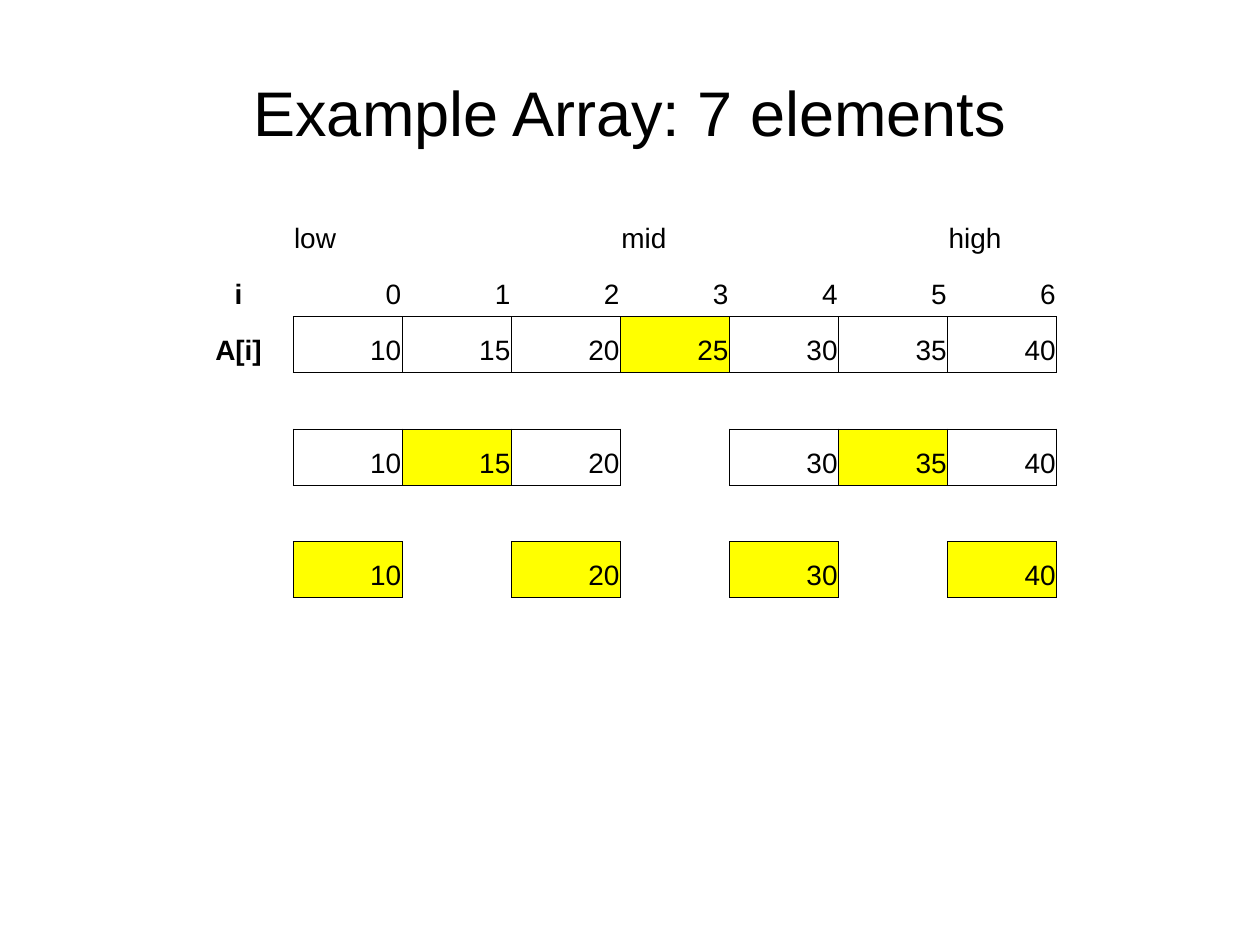
from lxml.etree import SubElement
from pptx import Presentation
from pptx.dml.color import RGBColor
from pptx.enum.text import MSO_ANCHOR as Anchor, PP_ALIGN as Align
from pptx.oxml.ns import qn
from pptx.util import Emu, Pt

PX = 914400 // 126
BLACK = RGBColor(0x00, 0x00, 0x00)
YELLOW = RGBColor(0xFF, 0xFF, 0x00)
EDGES = {"L": (0, -1), "R": (0, 1), "T": (-1, 0), "B": (1, 0)}


class ArraySlide:
    """Holds the style and the current slide, and draws its elements."""

    font = "Arial"
    line_width = Pt(0.25)

    def __init__(self, slide):
        self.slide = slide

    def add_text(self, frame, text, size, align, bold=False):
        paragraph = frame.paragraphs[0]
        paragraph.alignment = align
        run = paragraph.add_run()
        run.text = text
        run.font.name, run.font.size, run.font.bold = self.font, Pt(size), bold
        run.font.color.rgb = BLACK

    def title(self, text, *box):
        frame = self.slide.shapes.add_textbox(*(Emu(v * PX) for v in box)).text_frame
        frame.word_wrap = True
        frame.vertical_anchor = Anchor.MIDDLE
        self.add_text(frame, text, 36, Align.CENTER)

    def border(self, cell, edges):
        properties = cell._tc.get_or_add_tcPr()
        for position, edge in enumerate(EDGES):
            line = SubElement(properties, qn(f"a:ln{edge}"), w=str(self.line_width))
            if edge in edges:
                solid = SubElement(line, qn("a:solidFill"))
                SubElement(solid, qn("a:srgbClr"), val=str(BLACK))
            else:
                SubElement(line, qn("a:noFill"))
            properties.insert(position, line)

    def grid(self, rows, boxed, middles, *box):
        table = self.slide.shapes.add_table(
            len(rows), len(rows[0]), *(Emu(v * PX) for v in box)).table
        table.first_row = table.horz_banding = False
        for r, row in enumerate(rows):
            for c, text in enumerate(row):
                cell = table.cell(r, c)
                cell.vertical_anchor = Anchor.BOTTOM
                cell.margin_left = cell.margin_right = Emu(PX)
                cell.margin_top = cell.margin_bottom = Emu(6 * PX)
                if (r, c) in middles:
                    cell.fill.solid()
                    cell.fill.fore_color.rgb = YELLOW
                else:
                    cell.fill.background()
                if text:
                    align = (Align.CENTER if c == 0 else
                             Align.RIGHT if text.isdigit() else Align.LEFT)
                    self.add_text(cell.text_frame, text, 16, align, bold=c == 0)
                self.border(cell, [edge for edge, (down, across) in EDGES.items()
                                   if (r, c) in boxed or (r + down, c + across) in boxed])


deck = Presentation()
deck.slide_width, deck.slide_height = Emu(1260 * PX), Emu(945 * PX)
page = ArraySlide(deck.slides.add_slide(deck.slide_layouts[6]))

values = [str(v) for v in range(10, 41, 5)]
blank = [""] * 8
levels = {2: [3], 4: [1, 5], 6: [0, 2, 4, 6]}
middles = {(r, i + 1) for r, level in levels.items() for i in level}

rows = [["", "low", "", "", "mid", "", "", "high"],
        ["i"] + [str(i) for i in range(7)]]
boxed = set()
used = set()
for r, level in levels.items():
    left = [i for i in range(7) if i not in used]
    boxed |= {(r, i + 1) for i in left}
    rows.append(["A[i]" if r == 2 else ""] + [v if i in left else "" for i, v in enumerate(values)])
    rows.append(blank)
    used.update(level)
rows.append(blank)

page.title("Example Array: 7 elements", 63, 38, 1134, 147)
page.grid(rows, boxed, middles, 184, 204, 873, 506)
deck.save("out.pptx")
